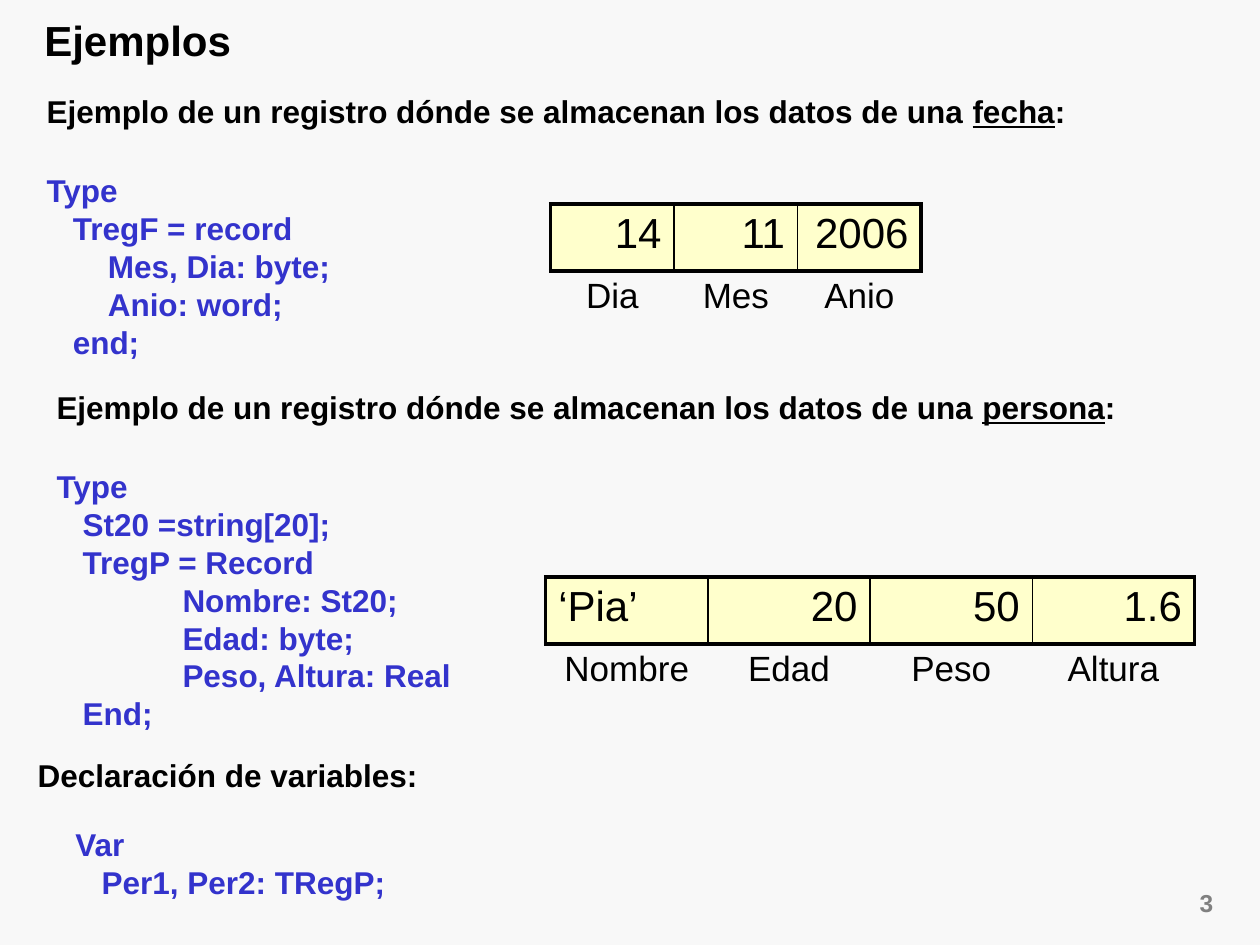
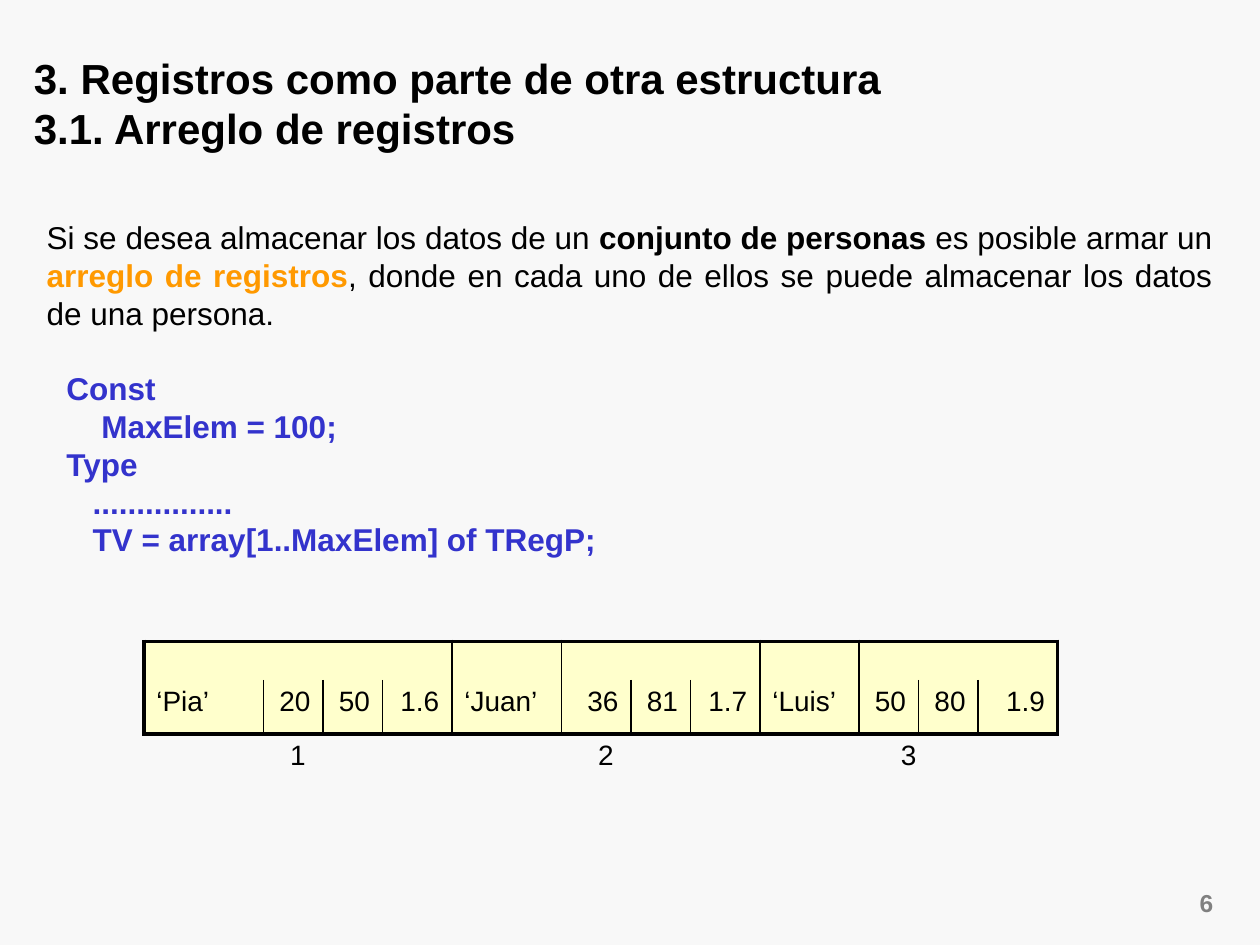
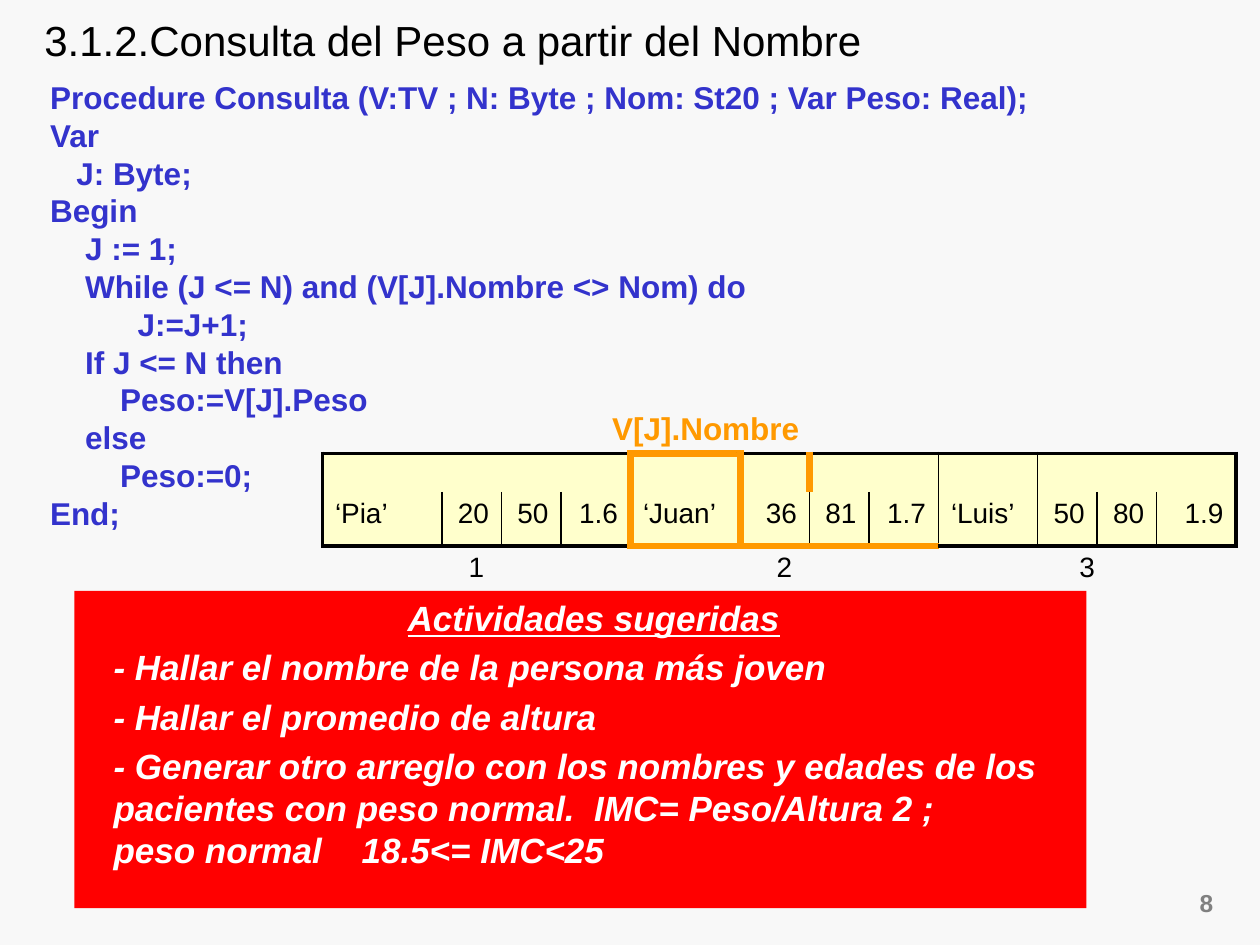
from lxml import etree
from pptx import Presentation
from pptx.dml.color import RGBColor
from pptx.enum.shapes import MSO_SHAPE
from pptx.enum.text import MSO_ANCHOR, MSO_AUTO_SIZE, PP_ALIGN
from pptx.oxml.ns import qn
from pptx.util import Cm, Pt

LEFT, CENTER, RIGHT, JUSTIFY = PP_ALIGN.LEFT, PP_ALIGN.CENTER, PP_ALIGN.RIGHT, PP_ALIGN.JUSTIFY
RECT = MSO_SHAPE.RECTANGLE
TOP, MIDDLE = MSO_ANCHOR.TOP, MSO_ANCHOR.MIDDLE
NO_FIT = MSO_AUTO_SIZE.NONE

FONT = "Arial"
BACKGROUND = RGBColor(0xF8, 0xF8, 0xF8)
BLACK = RGBColor(0, 0, 0)
WHITE = RGBColor(0xFF, 0xFF, 0xFF)
GRAY = RGBColor(0x80, 0x80, 0x80)
CODE_BLUE = RGBColor(0x33, 0x33, 0xCC)
ORANGE = RGBColor(0xFF, 0x99, 0x00)
RED = RGBColor(0xFF, 0, 0)
CREAM = RGBColor(0xFF, 0xFF, 0xCC)

# Cell edges: width in points and colour
THIN, THICK, MARK = (1, BLACK), (2.25, BLACK), (4.5, ORANGE)
PLAIN_TABLE = "{2D5ABB26-0587-4C30-8999-92F81FD0307C}"


def write(tf, lines, size, color, bold=True, align=LEFT):
    """Each line is (indent in points, run, ...); a run is text or (text, font settings)."""
    tf.word_wrap = True
    tf.auto_size = NO_FIT
    for i, (indent, *runs) in enumerate(lines):
        p = tf.paragraphs[0] if i == 0 else tf.add_paragraph()
        p.alignment = align
        if indent:
            p._p.get_or_add_pPr().set("marL", str(Pt(indent)))
        for run in runs:
            if run == "\n":
                p.add_line_break()
                continue
            text, settings = (run, {}) if isinstance(run, str) else run
            r = p.add_run()
            r.text = text
            r.font.name, r.font.size, r.font.bold = FONT, Pt(size), bold
            r.font.color.rgb = color
            for name, value in settings.items():
                if name == "color":
                    r.font.color.rgb = value
                else:
                    setattr(r.font, name, value)


def fill_cell(cell, text, size, align, fill, edges):
    """Edges map L, R, T and B, in that order, to an edge or None."""
    tcPr = cell._tc.get_or_add_tcPr()
    for side, edge in edges.items():
        if edge:
            width, color = edge
            ln = etree.SubElement(tcPr, qn("a:ln" + side), w=str(Pt(width)))
            solid = etree.SubElement(ln, qn("a:solidFill"))
            etree.SubElement(solid, qn("a:srgbClr"), val=str(color))
    if fill:
        cell.fill.solid()
        cell.fill.fore_color.rgb = fill
    else:
        cell.fill.background()
    if text:
        write(cell.text_frame, [(0, text)], size, BLACK, False, align)
    else:
        cell.margin_top = cell.margin_bottom = 0


prs = Presentation()
prs.slide_width, prs.slide_height = Cm(25.4), Cm(19.05)
bg = prs.slide_master.background.fill
bg.solid()
bg.fore_color.rgb = BACKGROUND

# Titles and slide numbers
titles = [
    (3, 0.64, 0.13, 1.32, True, ["Ejemplos"]),
    (6, 0.43, 0.91, 2.31, True, ["3. Registros como parte de otra estructura",
                                 "3.1. Arreglo de registros"]),
    (8, 0.64, 0.13, 1.32, False, ["3.1.2.Consulta del Peso a partir del Nombre"]),
]
slides = []
for number, left, top, height, bold, lines in titles:
    s = prs.slides.add_slide(prs.slide_layouts[5])
    title = s.shapes.title
    title.left, title.top, title.width, title.height = Cm(left), Cm(top), Cm(24.26), Cm(height)
    title.text_frame.vertical_anchor = MIDDLE
    write(title.text_frame, [(0, line) for line in lines], 24, BLACK, bold)
    sp = s.shapes.add_textbox(Cm(23.06), Cm(17.78), Cm(1.65), Cm(0.85))
    write(sp.text_frame, [(0, str(number))], 14, GRAY, align=RIGHT)
    slides.append(s)
examples, records, query = slides

# Text blocks: slide, left, top, width, height, colour, bold, alignment, lines
under = {"underline": True}
intro = "Ejemplo de un registro dónde se almacenan los datos de una "
blocks = [
    (examples, 0.69, 1.73, 24, 1.02, BLACK, True, JUSTIFY, [(0, intro, ("fecha", under), ":")]),
    (examples, 0.69, 3.33, 6.4, 4.11, CODE_BLUE, True, LEFT, [
        (0, "Type"),
        (15, "TregF = record"),
        (35, "Mes, Dia: byte;"),
        (35, "Anio: word;"),
        (15, "end;")]),
    (examples, 0.89, 7.7, 24, 1.02, BLACK, True, JUSTIFY, [(0, intro, ("persona", under), ":")]),
    (examples, 0.89, 9.3, 9.8, 5.59, CODE_BLUE, True, LEFT, [
        (0, "Type"),
        (15, "St20 =string[20];"),
        (15, "TregP = Record"),
        (72, "Nombre: St20;"),
        (72, "Edad: byte;"),
        (72, "Peso, Altura: Real"),
        (15, "End;")]),
    (examples, 0.51, 15.11, 24, 1.02, BLACK, True, JUSTIFY, [(0, "Declaración de variables:")]),
    (examples, 1.27, 16.51, 9.8, 1.78, CODE_BLUE, True, LEFT, [
        (0, "Var"),
        (15, "Per1, Per2: TRegP;")]),
    (records, 0.69, 4.27, 24, 2.54, BLACK, False, JUSTIFY, [
        (0, "Si se desea almacenar los datos de un ", ("conjunto de personas", {"bold": True}),
         " es posible armar un ", ("arreglo de registros", {"bold": True, "color": ORANGE}),
         ", donde en cada uno de ellos se puede almacenar los datos de una persona.")]),
    (records, 1.09, 7.32, 11.61, 4.11, CODE_BLUE, True, LEFT, [
        (0, "Const"),
        (20, "MaxElem = 100;"),
        (0, "Type"),
        (15, "................"),
        (15, "TV = array[1..MaxElem] of TRegP;")]),
    (query, 0.76, 1.45, 24, 9.4, CODE_BLUE, True, LEFT, [
        (0, "Procedure Consulta (V:TV ; N: Byte ; Nom: St20 ; Var Peso: Real);"),
        (0, "Var"),
        (15, "J: Byte;"),
        (0, "Begin"),
        (20, "J := 1;"),
        (20, "While (J <= N) and (V[J].Nombre <> Nom) do"),
        (50, "J:=J+1;"),
        (20, "If J <= N then"),
        (40, "Peso:=V[J].Peso"),
        (20, "else"),
        (40, "Peso:=0;"),
        (0, "End;")]),
    (query, 12.09, 8.13, 4.45, 1.02, ORANGE, True, LEFT, [(0, "V[J].Nombre")]),
]
for s, left, top, width, height, color, bold, align, lines in blocks:
    sp = s.shapes.add_textbox(Cm(left), Cm(top), Cm(width), Cm(height))
    write(sp.text_frame, lines, 18, color, bold, align)

# Suggested activities
sp = query.shapes.add_shape(RECT, Cm(1.5), Cm(11.91), Cm(20.4), Cm(6.4))
sp.shadow.inherit = False
sp.fill.solid()
sp.fill.fore_color.rgb = RED
sp.line.fill.background()
tf = sp.text_frame
tf.vertical_anchor = TOP
tf.margin_left = Cm(0.79)
write(tf, [
    (0, ("Actividades sugeridas", under)),
    (0, "- Hallar el nombre de la persona más joven"),
    (0, "- Hallar el promedio de altura"),
    (0, "- Generar otro arreglo con los nombres y edades de los pacientes con peso normal.  "
        "IMC= Peso/Altura 2 ;", "\n", "peso normal\t18.5<= IMC<25"),
], 20, WHITE)
for p in tf.paragraphs:
    p.space_before = Pt(4)
    for r in p.runs:
        r.font.italic = True
tf.paragraphs[0].alignment = CENTER
tabs = etree.SubElement(tf.paragraphs[-1]._p.get_or_add_pPr(), qn("a:tabLst"))
etree.SubElement(tabs, qn("a:tab"), pos=str(Cm(5)), algn="l")

# Empty tables: slide, left, top, column widths, row heights
array_cols = [2.41, 1.2, 1.2, 1.4, 2.21, 1.4, 1.2, 1.4, 2, 1.2, 1.2, 1.6]
layouts = [
    (examples, 11.1, 4.11, [2.49] * 3, [1.35, 1.09]),
    (examples, 11, 11.63, [3.27] * 4, [1.35, 1.09]),
    (records, 2.9, 12.93, array_cols, [0.76, 1.09, 0.84]),
    (query, 6.5, 9.14, array_cols, [0.76, 1.09, 0.84]),
]
tables = []
for s, left, top, cols, rows in layouts:
    frame = s.shapes.add_table(len(rows), len(cols), Cm(left), Cm(top),
                               Cm(sum(cols)), Cm(sum(rows)))
    table = frame.table
    table.first_row = table.horz_banding = False
    table._tbl.tblPr.find(qn("a:tableStyleId")).text = PLAIN_TABLE
    for column, width in zip(table.columns, cols):
        column.width = Cm(width)
    for row, height in zip(table.rows, rows):
        row.height = Cm(height)
    tables.append(table)

# Single records: values above field names
fields = [
    [("14", "Dia"), ("11", "Mes"), ("2006", "Anio")],
    [("‘Pia’", "Nombre"), ("20", "Edad"), ("50", "Peso"), ("1.6", "Altura")],
]
for table, record in zip(tables[:2], fields):
    sides = [THICK] + [THIN] * (len(record) - 1) + [THICK]
    for c, (value, name) in enumerate(record):
        align = LEFT if value.startswith("‘") else RIGHT
        fill_cell(table.cell(0, c), value, 24, align, CREAM,
                  {"L": sides[c], "R": sides[c + 1], "T": THICK, "B": THICK})
        fill_cell(table.cell(1, c), name, 20, CENTER, None, {"T": THICK})

# Arrays of three records, the second one with the searched name marked
people = ["‘Pia’", "20", "50", "1.6", "‘Juan’", "36", "81", "1.7", "‘Luis’", "50", "80", "1.9"]
for table, marked in zip(tables[2:], (False, True)):
    upper = [THICK] + [None if c % 4 else THIN for c in range(1, 12)] + [THICK]
    lower = [THICK] + [THIN] * 11 + [THICK]
    tops, bottoms = [THICK] * 12, [THICK] * 12
    if marked:
        upper[4:6] = lower[4:6] = [MARK] * 2
        tops[4] = MARK
        bottoms[4:8] = [MARK] * 4
    for c, value in enumerate(people):
        align = RIGHT if c % 4 else LEFT
        fill_cell(table.cell(0, c), "", 16, align, CREAM,
                  {"L": upper[c], "R": upper[c + 1], "T": tops[c]})
        fill_cell(table.cell(1, c), value, 16, align, CREAM,
                  {"L": lower[c], "R": lower[c + 1], "B": bottoms[c]})
    for i in range(3):
        label = table.cell(2, 4 * i)
        label.merge(table.cell(2, 4 * i + 3))
        fill_cell(label, str(i + 1), 16, CENTER, None, {"T": bottoms[4 * i]})

prs.save("out.pptx")
